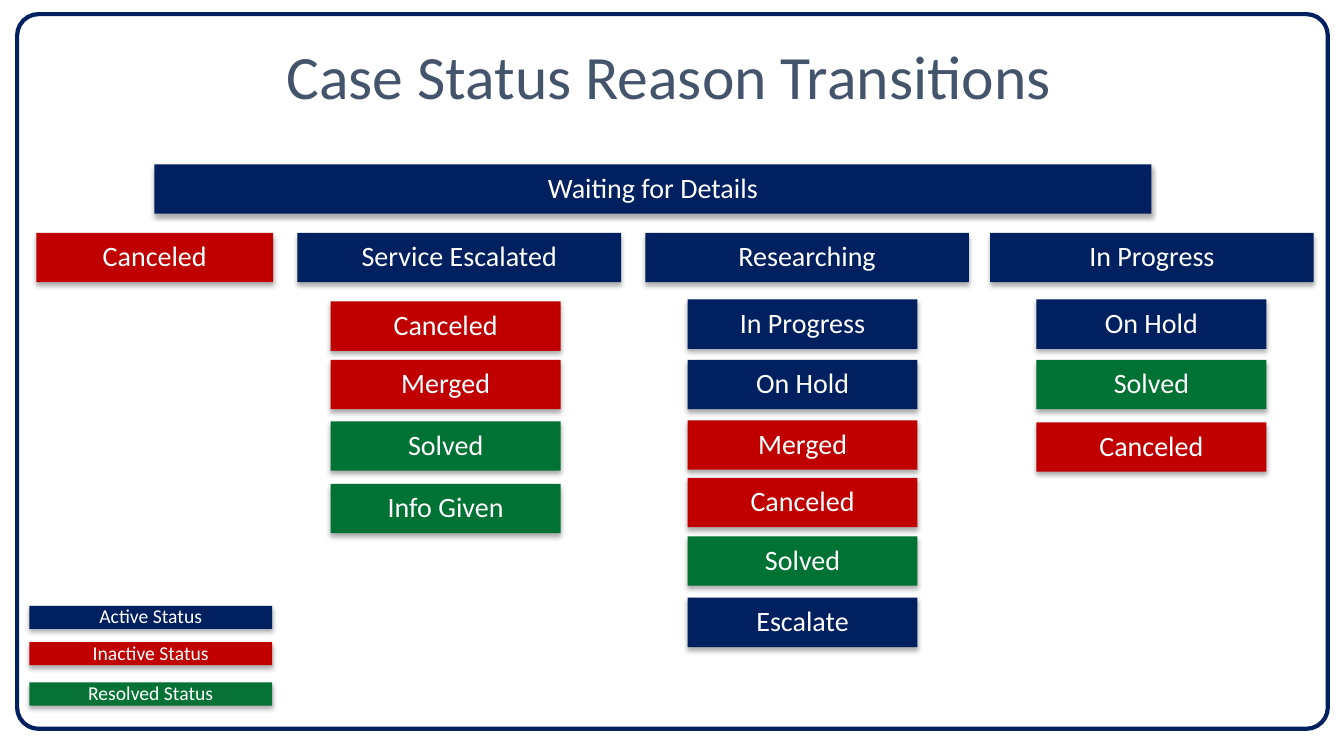
from lxml.etree import SubElement as Sub
from pptx import Presentation
from pptx.dml.color import RGBColor as RGB
from pptx.enum.shapes import MSO_SHAPE as Shape
from pptx.enum.text import MSO_ANCHOR as Anchor, PP_ALIGN as Align
from pptx.oxml.ns import qn
from pptx.util import Pt

PX = 9144

theme = {
    "font": "Calibri",
    "navy": "002060",
    "red": "C00000",
    "green": "007233",
    "leaf": "067236",
    "white": "FFFFFF",
    "slate": "44546A",
    "black": "000000",
    "title": 44,
    "label": 20,
    "key": 14,
}

deck = Presentation()
deck.slide_width, deck.slide_height = 1333 * PX, 750 * PX
slide = deck.slides.add_slide(deck.slide_layouts[5])


def write(shape, text, size, color):
    frame = shape.text_frame
    frame.vertical_anchor = Anchor.MIDDLE
    para = frame.paragraphs[0]
    para.alignment = Align.CENTER
    para.line_spacing = 0.9
    run = para.add_run()
    run.text = text
    run.font.name = theme["font"]
    run.font.size = Pt(theme[size])
    run.font.color.rgb = RGB.from_string(theme[color])


def block(text, fill, left, top, width, height=49, size="label"):
    box = slide.shapes.add_shape(
        Shape.RECTANGLE, left * PX, top * PX, width * PX, height * PX)
    box.fill.solid()
    box.fill.fore_color.rgb = RGB.from_string(theme[fill])
    box.line.fill.background()
    box.shadow.inherit = False
    effect = box.element.spPr.find(qn("a:effectLst"))
    shade = Sub(effect, qn("a:outerShdw"), blurRad=str(Pt(3.5)),
                dist=str(Pt(2.2)), dir="5400000", algn="t", rotWithShape="0")
    tint = Sub(shade, qn("a:srgbClr"), val=theme["black"])
    Sub(tint, qn("a:alpha"), val="32000")
    frame = box.text_frame
    frame.margin_left = frame.margin_right = 20 * PX
    frame.margin_top = frame.margin_bottom = 16 * PX
    write(box, text, size, "white")


title = slide.shapes.title
title.left, title.top = 29 * PX, 27 * PX
title.width, title.height = 1269 * PX, 103 * PX
title.fill.solid()
title.fill.fore_color.rgb = RGB.from_string(theme["white"])
write(title, "Case Status Reason Transitions", "title", "slate")

border = slide.shapes.add_shape(
    Shape.ROUNDED_RECTANGLE, 17 * PX, 14 * PX, 1300 * PX, 709 * PX)
border.adjustments[0] = 0.03
border.fill.solid()
border.fill.fore_color.rgb = RGB.from_string(theme["white"])
border.line.color.rgb = RGB.from_string(theme["navy"])
border.line.width = Pt(3)
border.shadow.inherit = False
title.element.addprevious(border.element)

block("Waiting for Details", "navy", 153, 163, 989)

columns = [
    ("Canceled", "red", 36, 235, 36, []),
    ("Service Escalated", "navy", 295, 321, 328, [
        ("Canceled", "red", 299),
        ("Merged", "red", 357),
        ("Solved", "green", 418),
        ("Info Given", "green", 480),
    ]),
    ("Researching", "navy", 640, 321, 682, [
        ("In Progress", "navy", 297),
        ("On Hold", "navy", 357),
        ("Merged", "red", 417),
        ("Canceled", "red", 474),
        ("Solved", "green", 532),
        ("Escalate", "navy", 593),
    ]),
    ("In Progress", "navy", 982, 321, 1028, [
        ("On Hold", "navy", 297),
        ("Solved", "green", 357),
        ("Canceled", "red", 419),
    ]),
]
for head, fill, left, width, inner, steps in columns:
    block(head, fill, left, 231, width)
    for name, color, top in steps:
        block(name, color, inner, top, 228)

legend = [
    ("Active Status", "navy", 601),
    ("Inactive Status", "red", 637),
    ("Resolved Status", "leaf", 677),
]
for name, color, top in legend:
    block(name, color, 29, top, 241, 23, "key")

deck.save("out.pptx")
